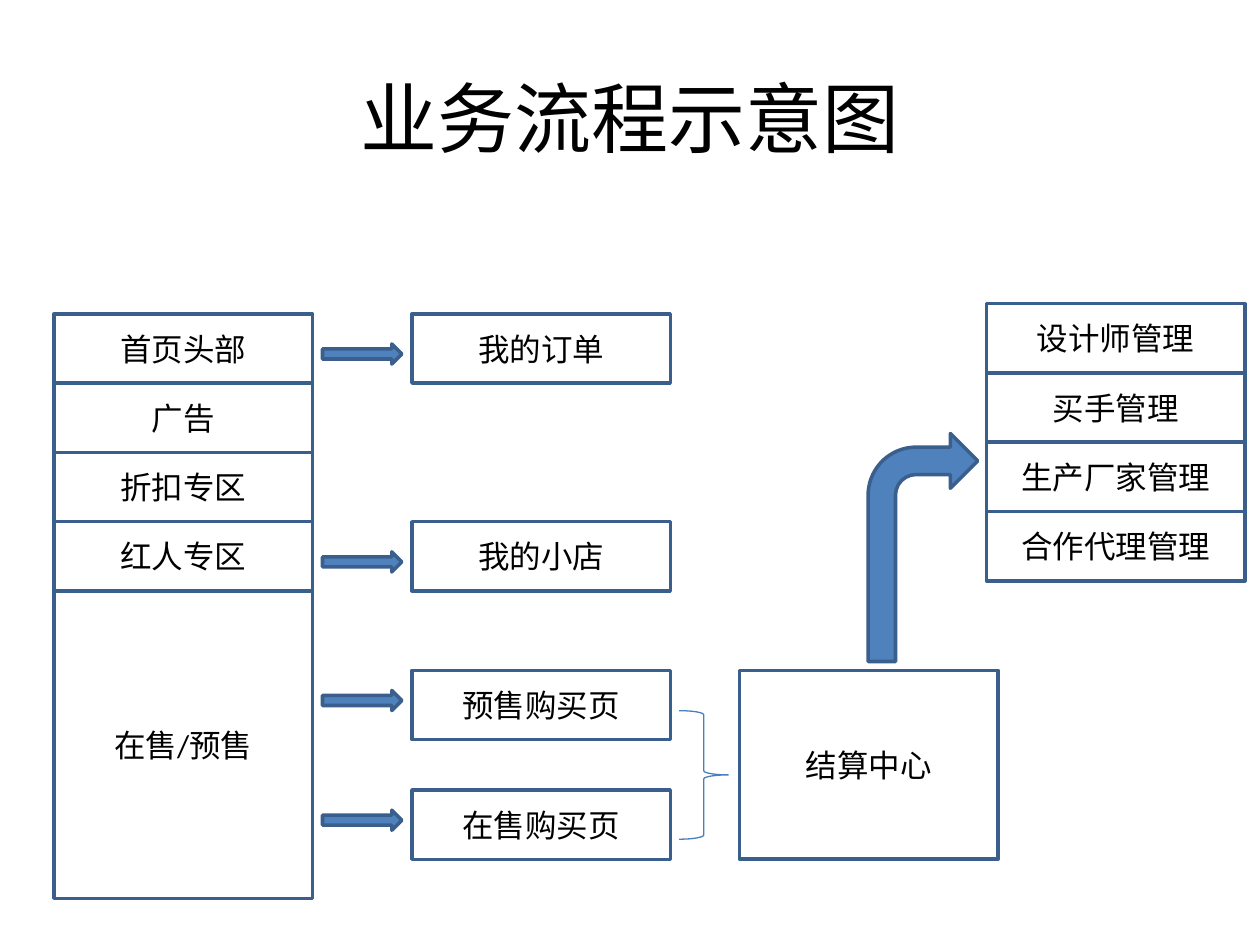
from pptx import Presentation
from pptx.dml.color import RGBColor
from pptx.enum.shapes import MSO_SHAPE as Shape
from pptx.enum.text import MSO_ANCHOR as Anchor, PP_ALIGN as Align
from pptx.util import Inches, Pt

BLACK = RGBColor(0x00, 0x00, 0x00)
BLUE = RGBColor(0x4F, 0x81, 0xBD)
OUTLINE = RGBColor(0x3A, 0x5F, 0x8C)
BRACE = RGBColor(0x4B, 0x7E, 0xBC)

BOX_WIDTH = 2.05
ROW = 0.55
HOME_LEFT, HOME_TOP = 0.43, 2.49
PAGE_LEFT = 3.27
PRESALE_TOP, SALE_TOP = 5.32, 6.27


class FlowSlide:
    font = "Calibri"

    def __init__(self, deck):
        self.slide = deck.slides.add_slide(deck.slide_layouts[5])

    def label(self, frame, text, size):
        frame.text = text
        frame.word_wrap = True
        frame.vertical_anchor = Anchor.MIDDLE
        paragraph = frame.paragraphs[0]
        paragraph.alignment = Align.CENTER
        font = paragraph.runs[0].font
        font.name, font.size = self.font, Pt(size)
        font.color.rgb = BLACK

    def title(self, text):
        heading = self.slide.shapes.title
        heading.left, heading.top = Inches(0.5), Inches(0.3)
        heading.width, heading.height = Inches(9), Inches(1.25)
        self.label(heading.text_frame, text, 44)

    def outline(self, kind, left, top, width, height, fill=None, line=OUTLINE, weight=2):
        figure = self.slide.shapes.add_shape(
            kind, Inches(left), Inches(top), Inches(width), Inches(height))
        figure.shadow.inherit = False
        if fill is None:
            figure.fill.background()
        else:
            figure.fill.solid()
            figure.fill.fore_color.rgb = fill
        figure.line.color.rgb = line
        figure.line.width = Pt(weight)
        return figure

    def box(self, text, left, top, height=ROW):
        step = self.outline(Shape.RECTANGLE, left, top, BOX_WIDTH, height)
        self.label(step.text_frame, text, 18)

    def stack(self, names, left, top):
        for row, name in enumerate(names):
            self.box(name, left, top + row * ROW)

    def arrow(self, top):
        self.outline(Shape.RIGHT_ARROW, 2.56, top, 0.63, 0.16, BLUE)

    def brace(self, left, top, width, height):
        self.outline(Shape.RIGHT_BRACE, left, top, width, height, line=BRACE, weight=0.75)

    def bent_arrow(self, left, top, width, height):
        self.outline(Shape.BENT_ARROW, left, top, width, height, BLUE)


def main():
    deck = Presentation()
    deck.slide_width, deck.slide_height = Inches(10), Inches(7.5)
    flow = FlowSlide(deck)
    flow.title("业务流程示意图")

    home_sections = ["首页头部", "广告", "折扣专区", "红人专区"]
    flow.stack(home_sections, HOME_LEFT, HOME_TOP)
    flow.box("在售/预售", HOME_LEFT, HOME_TOP + len(home_sections) * ROW, 2.44)

    pages = [
        ("我的订单", HOME_TOP, 0.24),
        ("我的小店", HOME_TOP + 3 * ROW, 0.24),
        ("预售购买页", PRESALE_TOP, 0.16),
        ("在售购买页", SALE_TOP, 0.16),
    ]
    for page, top, arrow_drop in pages:
        flow.box(page, PAGE_LEFT, top)
        flow.arrow(top + arrow_drop)

    flow.box("结算中心", 5.87, PRESALE_TOP, SALE_TOP + ROW - PRESALE_TOP)
    flow.stack(["设计师管理", "买手管理", "生产厂家管理", "合作代理管理"], 7.83, 2.41)
    flow.brace(5.39, 5.64, 0.39, 1.02)
    flow.bent_arrow(6.89, 3.44, 0.87, 1.81)

    deck.save("out.pptx")


if __name__ == "__main__":
    main()
